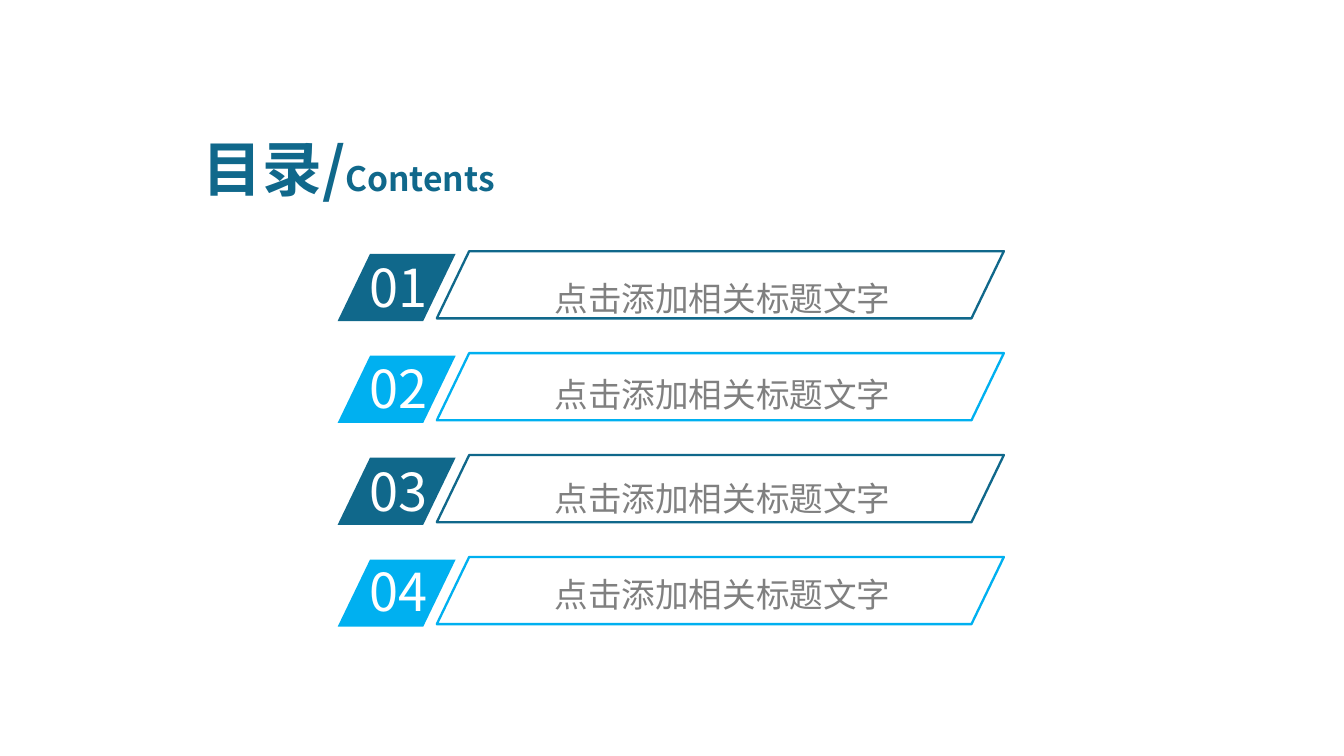
import pptx
import pptx.util
import pptx.dml.color
import pptx.enum.shapes
import pptx.enum.text
import pptx.oxml.ns
import lxml.etree

Pt = pptx.util.Pt
RGB = pptx.dml.color.RGBColor
ALIGN = pptx.enum.text.PP_ALIGN
ANCHOR = pptx.enum.text.MSO_ANCHOR
FIT = pptx.enum.text.MSO_AUTO_SIZE

TEAL = RGB(0x10, 0x68, 0x8B)
SKY = RGB(0x00, 0xB0, 0xF0)
GREY = RGB(0x80, 0x80, 0x80)
WHITE = RGB(0xFF, 0xFF, 0xFF)


def write(frame, *runs, font, color, bold=False, align=ALIGN.LEFT, lead=None):
    para = frame.paragraphs[0]
    para.alignment = align
    para.line_spacing = lead
    for text, size in runs:
        run = para.add_run()
        run.text = text
        run.font.name = font
        run.font.size = Pt(size)
        run.font.bold = bold
        run.font.color.rgb = color
        east = lxml.etree.SubElement(run.font._element, pptx.oxml.ns.qn("a:ea"))
        east.set("typeface", font)


class Pen:
    font = "Noto Sans CJK SC"
    slant = 0.482
    edge = 1.25

    def __init__(self, slide):
        self.slide = slide
        self.home = slide.shapes

    def group(self):
        self.home = self.slide.shapes.add_group_shape().shapes

    def text(self, box, *runs, grow=True, anchor=ANCHOR.TOP, **style):
        frame = self.home.add_textbox(*map(Pt, box)).text_frame
        frame.word_wrap = True
        frame.auto_size = FIT.SHAPE_TO_FIT_TEXT if grow else FIT.NONE
        frame.vertical_anchor = anchor
        write(frame, *runs, font=self.font, **style)
        return frame

    def slab(self, box, fill=None, line=None):
        kind = pptx.enum.shapes.MSO_SHAPE.PARALLELOGRAM
        shape = self.home.add_shape(kind, *map(Pt, box))
        shape.adjustments[0] = self.slant
        shape.shadow.inherit = False
        if fill is None:
            shape.fill.background()
        else:
            shape.fill.solid()
            shape.fill.fore_color.rgb = fill
        if line is None:
            shape.line.fill.background()
        else:
            shape.line.color.rgb = line
            shape.line.width = Pt(self.edge)


deck = pptx.Presentation()
deck.slide_width, deck.slide_height = Pt(720), Pt(405)
pen = Pen(deck.slides.add_slide(deck.slide_layouts[6]))

title = pen.text((97.9, 70.6, 177.8, 38.9), ("目录/", 32), ("Contents", 18),
                 grow=False, anchor=ANCHOR.MIDDLE, color=TEAL, bold=True,
                 align=ALIGN.CENTER)
title.margin_left = title.margin_right = Pt(5)
title.margin_top = title.margin_bottom = Pt(2.7)

STEP = 54.6
HUES = [TEAL, SKY, TEAL, SKY]
NUM_TOPS = [133.2, 187.2, 242.6, 295.9]
TEXT_TOPS = [134.6, 185.8, 241.9, 293]

for row, (hue, top) in enumerate(zip(HUES, NUM_TOPS)):
    pen.group()
    pen.slab((180.9, 136 + row * STEP, 63.2, 36), fill=hue)
    pen.text((190.8, top, 60.5, 41), (f"{row + 1:02}", 28), color=WHITE)

for row, (hue, top) in enumerate(zip(HUES, TEXT_TOPS)):
    pen.group()
    pen.text((275.8, top, 222.5, 36.7), ("点击添加相关标题文字", 18),
             color=GREY, align=ALIGN.CENTER, lead=1.5)
    pen.slab((234, 134.6 + row * STEP, 303.8, 36), line=hue)

deck.save("out.pptx")
